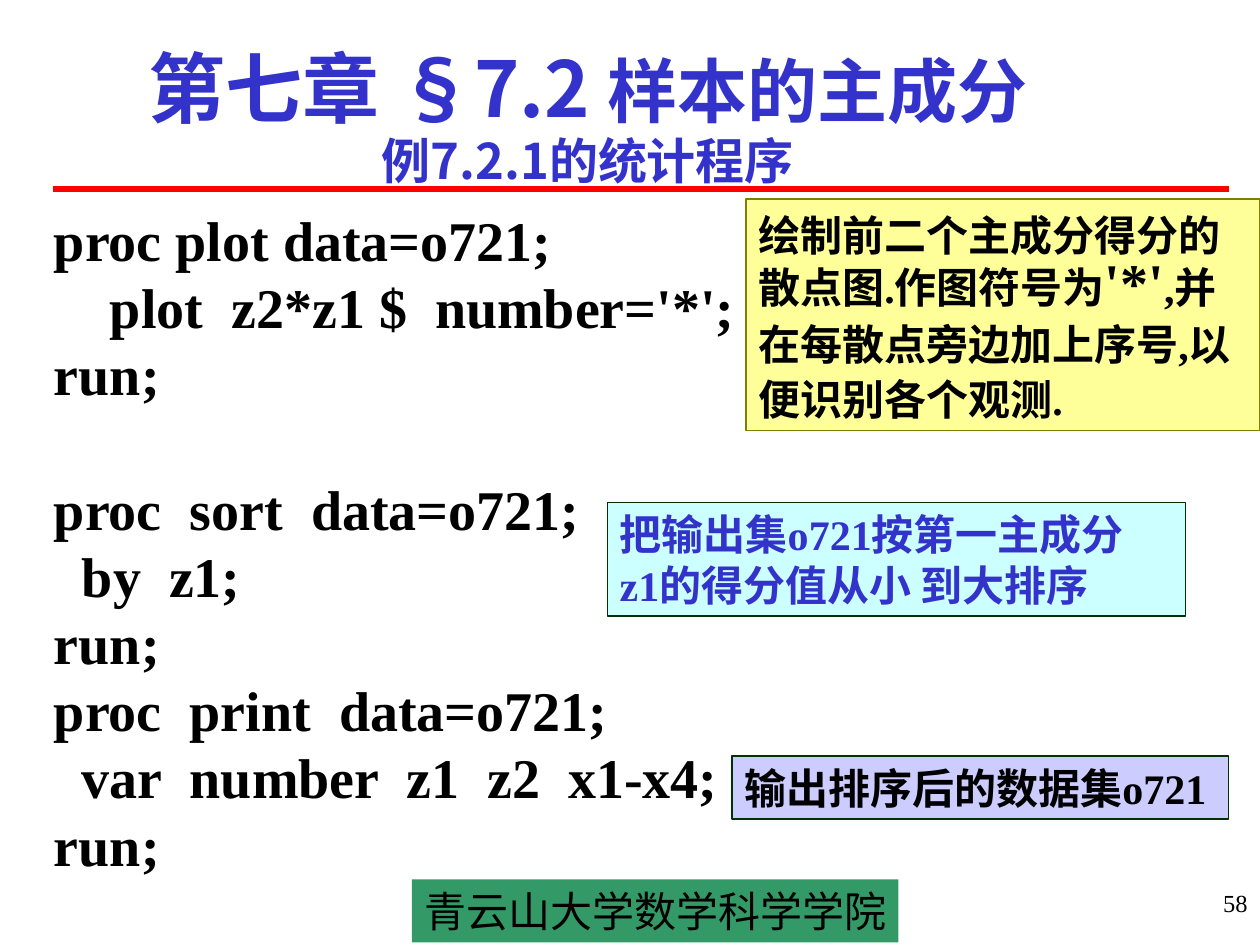
from pptx import Presentation
from pptx.dml.color import RGBColor as RGB
from pptx.enum.shapes import MSO_CONNECTOR as LINK, MSO_SHAPE as KIND
from pptx.enum.text import MSO_ANCHOR as ANCHOR, PP_ALIGN as ALIGN
from pptx.oxml.ns import qn
from pptx.util import Inches, Pt
from lxml.etree import SubElement as add

BLACK = RGB(0x00, 0x00, 0x00)
BLUE = RGB(0x33, 0x33, 0xCC)
RED = RGB(0xFF, 0x00, 0x00)
GREEN = RGB(0x33, 0x99, 0x66)
YELLOW = RGB(0xFF, 0xFF, 0x99)
OLIVE = RGB(0x80, 0x80, 0x00)
CYAN = RGB(0xCC, 0xFF, 0xFF)
LILAC = RGB(0xCC, 0xCC, 0xFF)
DARK = RGB(0x00, 0x33, 0x00)
SERIF = "Times New Roman"
SANS = "Noto Sans CJK SC"

deck = Presentation()
deck.slide_width, deck.slide_height = Inches(10), Inches(7.5)
slide = deck.slides.add_slide(deck.slide_layouts[5])
shapes = slide.shapes


def place(*box):
    return [Inches(n) for n in box]


def style(para, size, color, bold=True, face=SERIF, pitch=1.2):
    font = para.font
    font.size, font.bold, font.name = Pt(size), bold, face
    font.color.rgb = color
    para.line_spacing = Pt(round(size * pitch, 1))
    for run in para.runs:
        props = run._r.get_or_add_rPr()
        add(props, qn("a:ea")).set("typeface", SANS)


title = shapes.title
title.left, title.top, title.width, title.height = place(0.25, 0.25, 8.83, 1.25)
frame = title.text_frame
frame.word_wrap = True
frame.vertical_anchor = ANCHOR.BOTTOM
frame.margin_bottom = 0
head = frame.paragraphs[0]
head.alignment = ALIGN.CENTER
for text, size in [("第七章 §7.2 ", 44), ("样本的主成分", 40), ("例7.2.1的统计程序", 28)]:
    if size == 28:
        head.add_line_break()
    run = head.add_run()
    run.text, run.font.size = text, Pt(size)
style(head, 44, BLUE, face=SANS)
head.line_spacing = Pt(32)

rule = shapes.add_connector(LINK.STRAIGHT, *place(0.42, 1.5, 9.75, 1.5))
rule.line.color.rgb, rule.line.width = RED, Pt(3)
add(rule._element.spPr, qn("a:effectLst"))

notes = [
    ((3.27, 6.98, 3.86, 0.5), GREEN, None, BLACK, False, ["青云山大学数学科学学院"]),
    ((5.92, 1.58, 4.08, 1.84), YELLOW, OLIVE, BLACK, True,
     ["绘制前二个主成分得分的散点图.作图符号为|'*'|,并在每散点旁边加上序号,以便识别各个观测."]),
    ((4.82, 3.99, 4.59, 0.9), CYAN, DARK, BLUE, True,
     ["把输出集o721按第一主成分", "z1的得分值从小 到大排序"]),
    ((5.81, 6, 3.94, 0.5), LILAC, DARK, BLACK, True, ["输出排序后的数据集o721"]),
]
for box, fill, edge, color, bold, lines in notes:
    note = shapes.add_shape(KIND.RECTANGLE, *place(*box))
    note.shadow.inherit = False
    note.fill.solid()
    note.fill.fore_color.rgb = fill
    if edge:
        note.line.color.rgb, note.line.width = edge, Pt(0.75)
    else:
        note.line.fill.background()
    frame = note.text_frame
    frame.word_wrap = box[3] > 0.5
    frame.vertical_anchor = ANCHOR.TOP
    for i, line in enumerate(lines):
        para = frame.add_paragraph() if i else frame.paragraphs[0]
        para.alignment = ALIGN.LEFT
        for text in line.split("|"):
            run = para.add_run()
            run.text = text
            if text == "'*'":
                run.font.size = Pt(32)
        style(para, 24, color, bold, pitch=1.3 if "|" in line else 1.2)

code = [
    (0, "proc plot data=o721;"),
    (4, "plot  z2*z1 $  number='*';"),
    (0, "run;"),
    (0, "proc  sort  data=o721;"),
    (2, "by  z1;"),
    (0, "run;"),
    (0, "proc  print  data=o721;"),
    (2, "var  number  z1  z2  x1-x4;"),
    (0, "run;"),
]
frame = shapes.add_textbox(*place(0.33, 1.58, 9.42, 5.44)).text_frame
frame.word_wrap = True
for i, (depth, text) in enumerate(code):
    para = frame.add_paragraph() if i else frame.paragraphs[0]
    para.text = text
    para._p.get_or_add_pPr().set("marL", str(Pt(8 * depth)))
    style(para, 32, BLACK)
    if "sort" in text:
        para.space_before = para.line_spacing

frame = shapes.add_textbox(*place(7.92, 7, 2.08, 0.5)).text_frame
frame.word_wrap = True
page = frame.paragraphs[0]
page.text, page.alignment = "58", ALIGN.RIGHT
style(page, 14, BLACK, False)
page.space_before = Pt(8.8)

deck.save("out.pptx")
